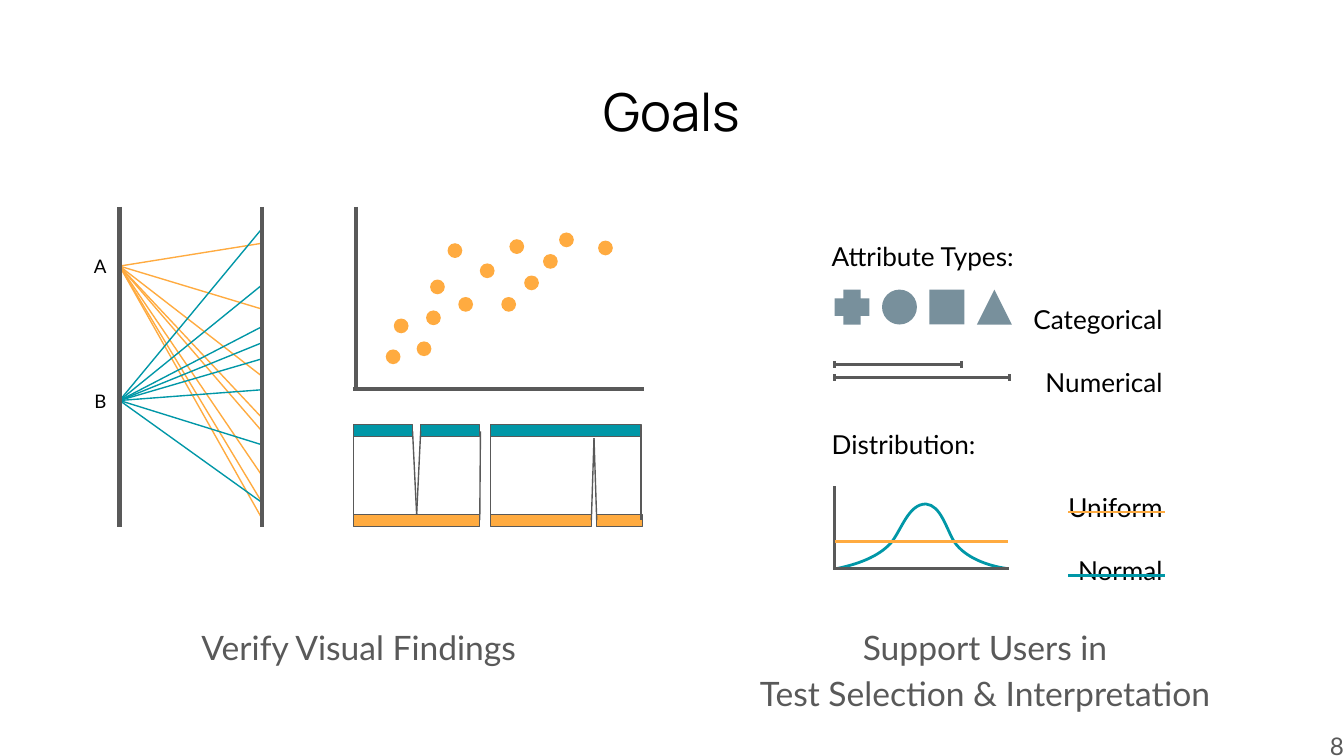
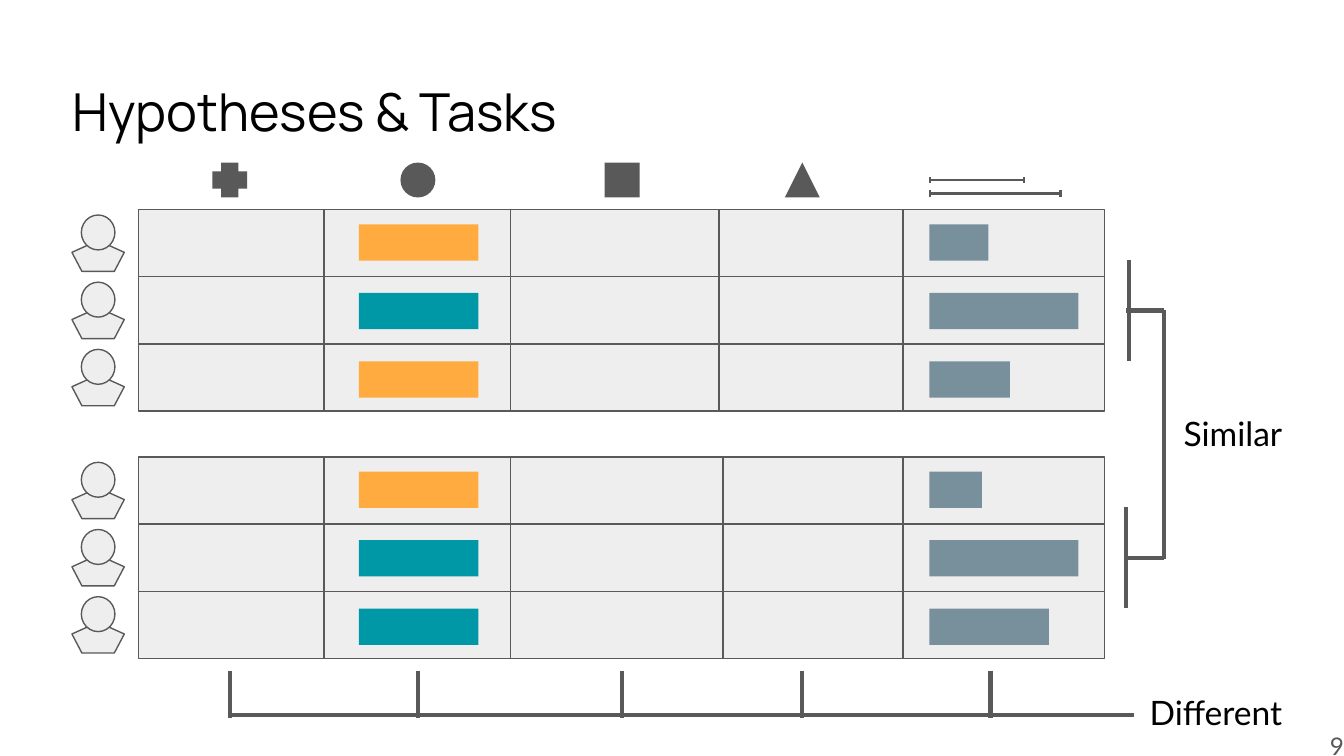
from lxml import etree
from pptx import Presentation
from pptx import util as u
from pptx.dml.color import RGBColor
from pptx.enum import shapes, text
from pptx.oxml.ns import qn

# Grid: 100 columns by 56.25 rows of square cells
COLS, ROWS = 100, 56.25
CELL = u.Inches(10) // COLS

BLACK = RGBColor(0x00, 0x00, 0x00)
GREY = RGBColor(0x59, 0x59, 0x59)
PALE = RGBColor(0xEE, 0xEE, 0xEE)
SLATE = RGBColor(0x78, 0x90, 0x9C)
ORANGE = RGBColor(0xFF, 0xAB, 0x40)
TEAL = RGBColor(0x00, 0x97, 0xA7)

KIND = shapes.MSO_SHAPE
LEFT, CENTER, RIGHT = text.PP_ALIGN.LEFT, text.PP_ALIGN.CENTER, text.PP_ALIGN.RIGHT
TOP, MIDDLE = text.MSO_ANCHOR.TOP, text.MSO_ANCHOR.MIDDLE
SYMBOLS = (KIND.CROSS, KIND.OVAL, KIND.RECTANGLE, KIND.ISOSCELES_TRIANGLE)
SYMBOL = 2.6  # side of a category symbol


def cells(*values):
    return [round(v * CELL) for v in values]


def apply(obj, values):
    for name, value in values.items():
        setattr(obj, name, value)


class Deck:
    def __init__(self):
        self.prs = Presentation()
        self.prs.slide_width, self.prs.slide_height = cells(COLS, ROWS)
        self.s = None

    def slide(self, title, number, left, align):
        self.s = self.prs.slides.add_slide(self.prs.slide_layouts[6])
        self.text((left, 5.1, 93.2, 6.3), [(title, align)], 28, font="Manrope",
                  inset=(1, 1, 1, 1), anchor=MIDDLE)
        self.text((94, 54.4, 6, 1.9), [(str(number), RIGHT)], 13, GREY)

    def text(self, box, paragraphs, size, color=BLACK, font="Lato",
             inset=(0, 0, 0, 0), spacing=1.0, anchor=TOP):
        tf = self.s.shapes.add_textbox(*cells(*box)).text_frame
        sides = ("margin_left", "margin_top", "margin_right", "margin_bottom")
        apply(tf, dict(zip(sides, cells(*inset)), word_wrap=True, vertical_anchor=anchor))
        for i, (words, align) in enumerate(paragraphs):
            p = tf.add_paragraph() if i else tf.paragraphs[0]
            apply(p, {"text": words, "alignment": align, "line_spacing": spacing})
            for r in p.runs:
                apply(r.font, {"name": font, "size": u.Pt(size)})
                r.font.color.rgb = color

    def stroke(self, line, color, width):
        line.color.rgb = color
        line.width = u.Pt(width)

    def shape(self, kind, box, fill, outlined=False):
        sp = self.s.shapes.add_shape(kind, *cells(*box))
        sp.shadow.inherit = False
        sp.fill.solid()
        sp.fill.fore_color.rgb = fill
        if outlined:
            self.stroke(sp.line, GREY, 0.75)
        else:
            sp.line.fill.background()

    def line(self, x1, y1, x2, y2, color=GREY, width=0.75):
        cn = self.s.shapes.add_connector(
            shapes.MSO_CONNECTOR.STRAIGHT, *cells(x1, y1, x2, y2))
        self.stroke(cn.line, color, width)
        etree.SubElement(cn._element.spPr, qn("a:effectLst"))

    def curve(self, points, color, width):
        """Cubic curve: a start, then two handles and an end per segment."""
        pts = [tuple(cells(*pt)) for pt in points]
        fb = self.s.shapes.build_freeform(*pts[0])
        sp = fb.add_line_segments(pts[1:], close=False).convert_to_shape()
        sp.shadow.inherit = False
        sp.fill.background()
        self.stroke(sp.line, color, width)
        steps = list(sp._element.iter(qn("a:lnTo")))
        for i in range(0, len(steps), 3):
            bez = etree.Element(qn("a:cubicBezTo"))
            steps[i].addprevious(bez)
            for step in steps[i:i + 3]:
                bez.append(step[0])
                step.getparent().remove(step)

    def symbols(self, lefts, top, color):
        for kind, left in zip(SYMBOLS, lefts):
            self.shape(kind, (left, top, SYMBOL, SYMBOL), color)

    def ranges(self, left, top, lengths):
        """Stacked intervals with end ticks, for numerical attributes."""
        for i, length in enumerate(lengths):
            row = top + i
            self.line(left, row, left + length, row, width=1.5)
            for x in (left, left + length):
                self.line(x, row - 0.25, x, row + 0.25, width=1.5)

    def person(self, top):
        self.shape(KIND.REGULAR_PENTAGON, (5.35, top + 2.3, 3.9, 2.3), PALE, True)
        self.shape(KIND.OVAL, (6.05, top + 0.4, 2.5, 2.6), PALE, True)


def goals(d):
    d.slide("Goals", 8, 3.4, CENTER)

    # Captions
    for left, words in ((50, "Support Users in\nTest Selection & Interpretation"),
                        (3.4, "Verify Visual Findings")):
        d.text((left, 45.2, 46.6, 4.8), [(words, CENTER)], 18, GREY,
               inset=(1, 1, 1, 1), spacing=1.15)

    # Parallel coordinates
    fans = (("A", 19.8, ORANGE, (32.1, 37.4, 35.4, 38.6, 28, 23, 18.1, 31.1)),
            ("B", 29.8, TEAL, (17, 21.2, 24.3, 29, 37.4, 33.1, 25.5, 26.7)))
    for label, start, color, ends in fans:
        d.text((2.2, start - 0.8, 6.7, 1.7), [(label, RIGHT)], 10, inset=(0, 0, 1, 0))
        for end in ends:
            d.line(8.9, start, 19.5, end, color)
    for x in (19.5, 8.9):
        d.line(x, 15.4, x, 39.2, width=2.25)

    # Scatter plot
    d.line(26.5, 15.4, 26.5, 28.9, width=2.25)
    d.line(26.3, 28.95, 47.9, 28.95, width=2.25)
    dots = ((28.7, 26), (33.3, 18.1), (37.9, 17.8), (39, 20.5), (41.6, 17.3),
            (35.7, 19.6), (34.1, 22.1), (32, 20.8), (31.7, 23.1), (29.3, 23.7),
            (31, 25.4), (37.3, 22.1), (40.4, 18.9), (44.5, 17.9))
    for x, y in dots:
        d.shape(KIND.OVAL, (x, y, 1.1, 1.1), ORANGE)

    # Linked category bars
    bars = ((38.3, ORANGE, ((26.3, 9.4), (36.5, 7.5), (44.4, 3.4))),
            (31.6, TEAL, ((26.3, 4.4), (31.3, 4.4), (36.5, 11.2))))
    for top, color, spans in bars:
        for left, width in spans:
            d.shape(KIND.RECTANGLE, (left, top, width, 0.9), color, True)
    links = ((26.3, 32.1, 26.3, 38.7), (36.5, 32.1, 36.5, 38.7),
             (47.7, 32.1, 47.7, 38.7), (35.75, 32.1, 35.7, 38.7),
             (31.3, 32.1, 31, 38.3), (30.7, 32.1, 31, 38.3),
             (44.2, 32.6, 44.4, 38.7), (44.2, 32.6, 44, 38.7))
    for link in links:
        d.line(*link)

    # Attribute types and distributions
    d.curve(((62.3, 42.3), (63.7, 42), (65.3, 41.5), (66.3, 40.4),
             (67.1, 39.4), (67.6, 37.5), (68.9, 37.5),
             (70, 37.6), (70.4, 39.3), (71, 40.3),
             (71.8, 41.5), (73.5, 42.1), (74.9, 42.3)), TEAL, 1.5)
    d.text((60.9, 14.55, 26.6, 29.2),
           [("Attribute Types:", LEFT), ("Categorical", RIGHT), ("Numerical", RIGHT),
            ("Distribution:", LEFT), ("Uniform", RIGHT), ("Normal", RIGHT)],
           14, inset=(1, 1, 1, 1), spacing=2.0)
    d.symbols([62.1 + 3.53 * i for i in range(4)], 21.55, SLATE)
    d.ranges(62.1, 27.1, (9.45, 13))
    d.line(62.1, 42.3, 75.1, 42.3, width=1.5)
    d.line(62.1, 42.4, 62.1, 36.2, width=1.5)
    for x1, x2, y, color in ((79.5, 86.7, 38.1, ORANGE), (79.5, 86.7, 42.8, TEAL),
                             (62.1, 75, 40.3, ORANGE)):
        d.line(x1, y, x2, y, color, 1.5)


def hypotheses(d):
    d.slide("Hypotheses & Tasks", 9, 4.4, LEFT)
    symbol_lefts = (15.8, 29.8, 45, 58.4)
    # Per group: top, column dividers, category colours, value lengths
    groups = ((15.6, (24.1, 38, 53.5, 67.2), (ORANGE, TEAL, ORANGE), (4.4, 11.1, 6)),
              (34, (24.1, 38, 53.8, 67.2), (ORANGE, TEAL, TEAL), (3.9, 11.1, 8.9)))

    # Two groups of people with their attributes
    for top, dividers, colors, lengths in groups:
        for i in range(3):
            d.shape(KIND.RECTANGLE, (10.3, top + 5 * i, 71.9, 5), PALE, True)
            d.person(top + 5 * i)
        for x in dividers:
            d.line(x, top, x, top + 15)
        for i, (color, length) in enumerate(zip(colors, lengths)):
            row = top + 1.1 + 5.1 * i
            d.shape(KIND.RECTANGLE, (26.7, row, 8.9, 2.7), color)
            d.shape(KIND.RECTANGLE, (69.15, row, length, 2.7), SLATE)

    # Column heads
    d.symbols(symbol_lefts, 12.1, GREY)
    d.ranges(69.2, 13.4, (7, 9.7))

    # Bracket below the columns
    for x in [left + SYMBOL / 2 for left in symbol_lefts] + [73.7]:
        d.line(x, 49.9, x, 53.4, width=2.25)
    d.line(17, 53.2, 84.4, 53.2, width=2.25)

    # Bracket beside the groups
    for x, y in ((84, 23.1), (83.8, 41.5)):
        d.line(x, y - 3.75, x, y + 3.75, width=2.25)
        d.line(83.8, y, 86.6, y, width=2.25)
    d.line(86.6, 23.1, 86.6, 41.6, width=2.25)

    for words, top in (("Different", 51.5), ("Similar", 30.7)):
        d.text((83.5, top, 11.9, 3.3), [(words, RIGHT)], 18)


def main():
    d = Deck()
    goals(d)
    hypotheses(d)
    d.prs.save("out.pptx")


if __name__ == "__main__":
    main()
